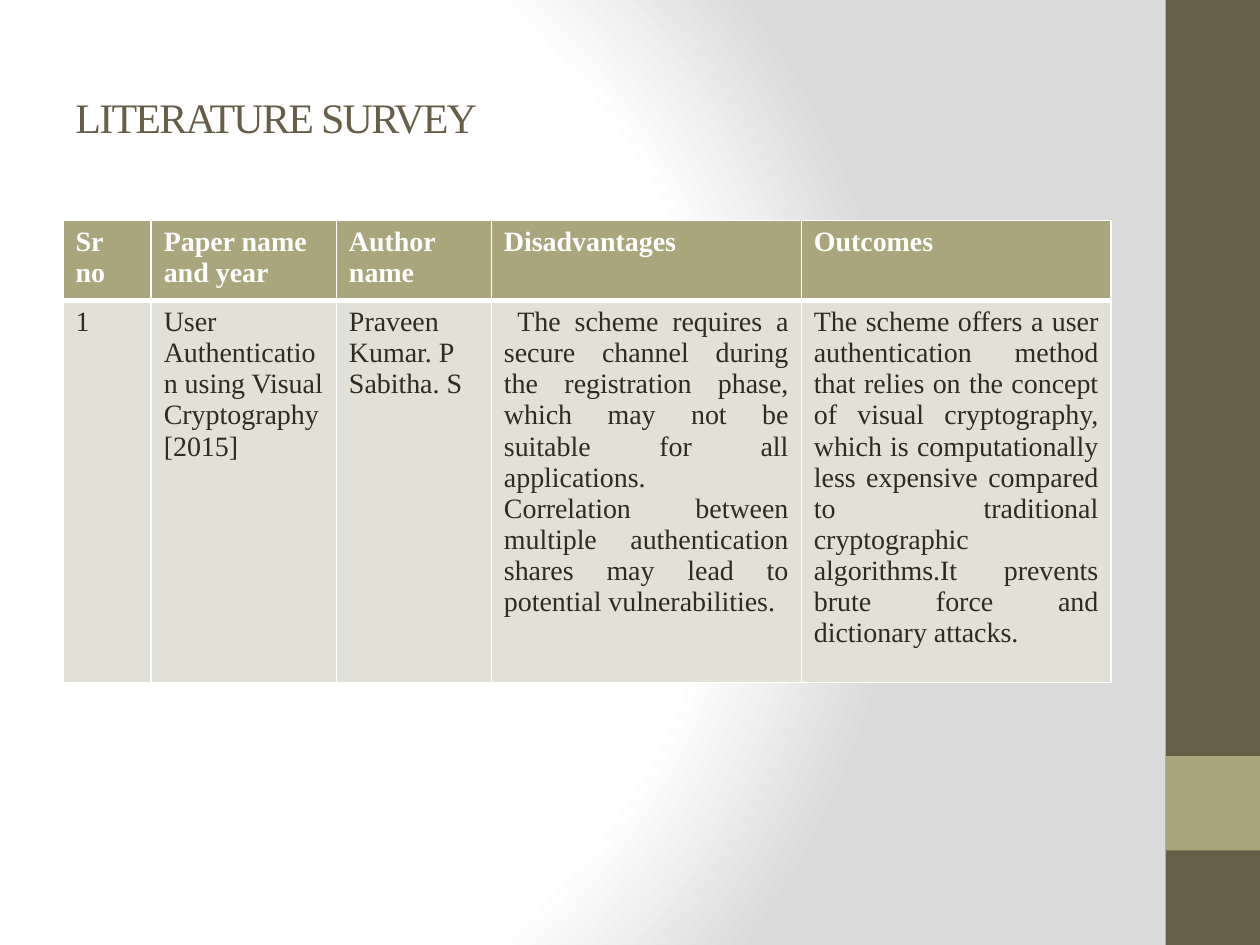
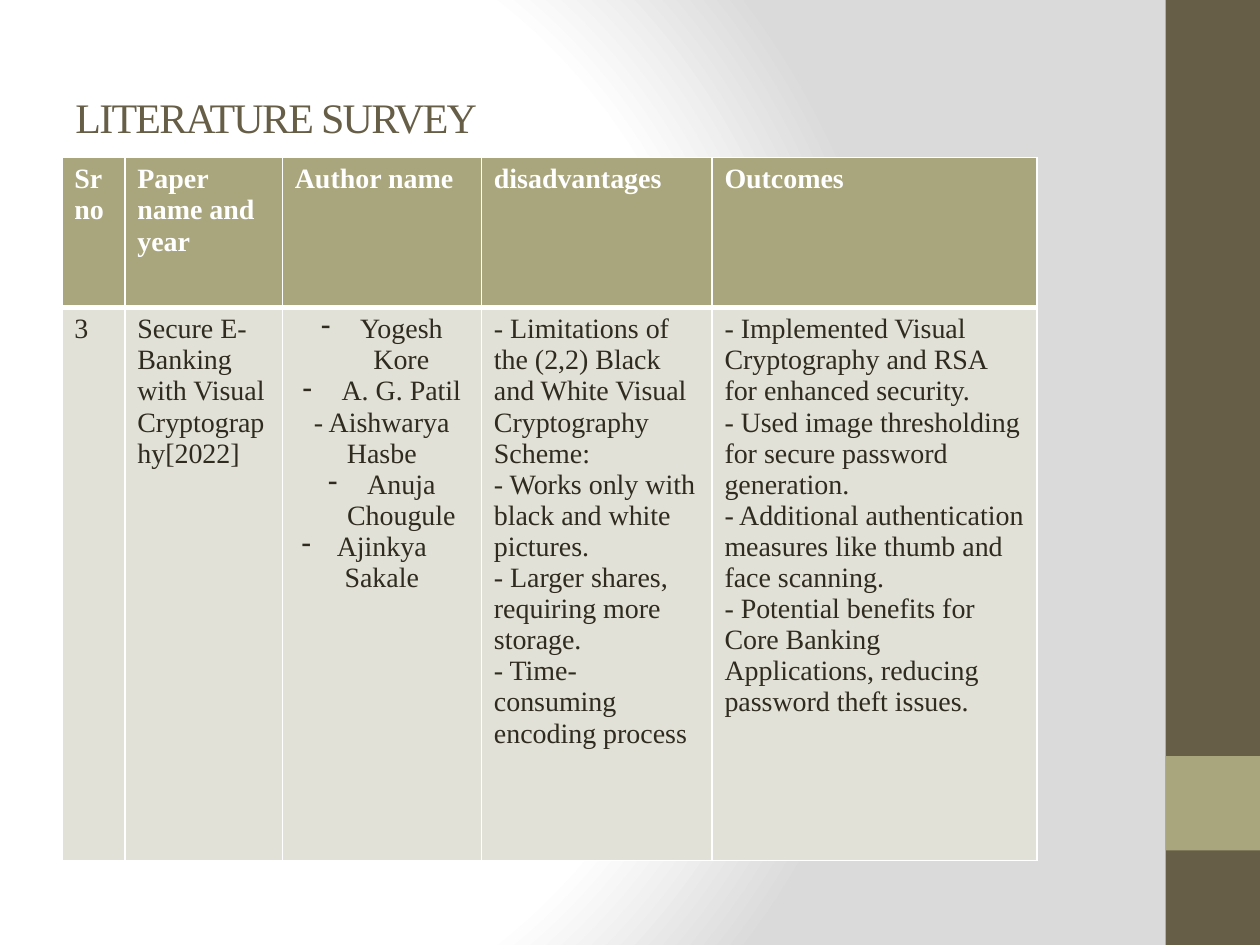
from dataclasses import dataclass

from lxml import etree
from pptx import Presentation
from pptx.dml.color import RGBColor
from pptx.enum.shapes import MSO_SHAPE
from pptx.enum.text import MSO_ANCHOR, PP_ALIGN
from pptx.oxml import parse_xml
from pptx.oxml.ns import nsdecls, qn
from pptx.util import Inches, Pt

RECTANGLE = MSO_SHAPE.RECTANGLE
MIDDLE = MSO_ANCHOR.MIDDLE
LEFT, CENTER, JUSTIFY = PP_ALIGN.LEFT, PP_ALIGN.CENTER, PP_ALIGN.JUSTIFY

FONT = "Times New Roman"
COLORS = {
    "brown": "675E47",
    "olive": "A9A57C",
    "stone": "E2E1D7",
    "ink": "2F2B20",
    "white": "FFFFFF",
    "grey": "DADADA",
}
BACKGROUND_STOPS = ((0, "white"), (75, "white"), (100, "grey"))
TITLE = "LITERATURE SURVEY"


@dataclass(frozen=True)
class Band:
    top: float
    height: float
    color: str


@dataclass(frozen=True)
class Line:
    text: str
    align: PP_ALIGN = LEFT
    bullet: str = ""
    indent: float = 0
    right: float = 0


@dataclass(frozen=True)
class Survey:
    left: float
    top: float
    columns: tuple[float, ...]
    rows: tuple[float, float]
    headings: tuple[str, ...]
    entry: tuple[tuple[Line, ...], ...]


BANDS = (Band(0, 7.5, "brown"), Band(6, 0.75, "olive"))


def author(name: str) -> Line:
    return Line(name, CENTER, bullet="-", indent=0.31)


SURVEYS = (
    Survey(
        left=0.5,
        top=1.75,
        columns=(0.7, 1.47, 1.23, 2.46, 2.46),
        rows=(0.58, 2.82),
        headings=("Sr no", "Paper name and year", "Author name", "Disadvantages", "Outcomes"),
        entry=(
            (Line("1"),),
            (Line("User Authentication using Visual Cryptography[2015]"),),
            (Line("Praveen Kumar. P Sabitha. S"),),
            (
                Line(" The scheme requires a secure channel during the registration phase, "
                     "which may not be suitable for all applications.", JUSTIFY),
                Line("Correlation between multiple authentication shares may lead to "
                     "potential vulnerabilities.", JUSTIFY),
            ),
            (
                Line("The scheme offers a user authentication method that relies on the "
                     "concept of visual cryptography, which is computationally less "
                     "expensive compared to traditional cryptographic algorithms.It "
                     "prevents brute force and dictionary attacks.", JUSTIFY),
            ),
        ),
    ),
    Survey(
        left=0.49,
        top=1.25,
        columns=(0.5, 1.25, 1.58, 1.83, 2.58),
        rows=(1.19, 4.39),
        headings=("Sr no", "Paper name and year", "Author name", "disadvantages", "Outcomes"),
        entry=(
            (Line("3"),),
            (Line("Secure E-Banking with Visual Cryptography[2022]"),),
            (
                author("Yogesh Kore"),
                author("A. G. Patil"),
                Line("- Aishwarya Hasbe", CENTER),
                author("Anuja Chougule"),
                Line("Ajinkya Sakale", CENTER, bullet="-", indent=0.28, right=0.28),
            ),
            (
                Line("- Limitations of the (2,2) Black and White Visual Cryptography Scheme:"),
                Line("- Works only with black and white pictures."),
                Line("- Larger shares, requiring more storage."),
                Line("- Time-consuming encoding process"),
            ),
            (
                Line("- Implemented Visual Cryptography and RSA for enhanced security."),
                Line("- Used image thresholding for secure password generation."),
                Line("- Additional authentication measures like thumb and face scanning."),
                Line("- Potential benefits for Core Banking Applications, reducing password "
                     "theft issues."),
            ),
        ),
    ),
)


def rgb(color: str) -> RGBColor:
    return RGBColor.from_string(COLORS[color])


def write(frame, lines: tuple[Line, ...], *, size: int, color: str,
          bold: bool = False, spacing: float = 0) -> None:
    for index, line in enumerate(lines):
        paragraph = frame.add_paragraph() if index else frame.paragraphs[0]
        paragraph.alignment = line.align
        run = paragraph.add_run()
        run.text = line.text
        run.font.name = FONT
        run.font.size = Pt(size)
        run.font.bold = bold
        run.font.color.rgb = rgb(color)
        if spacing:
            run.font._element.set("spc", str(round(spacing * 100)))
        if line.bullet:
            properties = paragraph._p.get_or_add_pPr()
            properties.set("marL", str(Inches(line.indent)))
            properties.set("marR", str(Inches(line.right)))
            properties.set("indent", str(Inches(-line.indent)))
            etree.SubElement(properties, qn("a:buChar"), char=line.bullet)


def set_background(master) -> None:
    master.background.fill.solid()
    properties = master.element.find(".//" + qn("p:bgPr"))
    stops = "".join(
        f'<a:gs pos="{position * 1000}"><a:srgbClr val="{COLORS[color]}"/></a:gs>'
        for position, color in BACKGROUND_STOPS
    )
    gradient = parse_xml(
        f'<a:gradFill {nsdecls("a")} rotWithShape="1"><a:gsLst>{stops}</a:gsLst>'
        '<a:path path="circle">'
        '<a:fillToRect l="20000" t="50000" r="100000" b="50000"/>'
        "</a:path></a:gradFill>"
    )
    properties.replace(properties.find(qn("a:solidFill")), gradient)


def draw_frame(slide) -> None:
    for band in BANDS:
        shape = slide.shapes.add_shape(
            RECTANGLE, Inches(9.25), Inches(band.top), Inches(0.75), Inches(band.height))
        shape.shadow.inherit = False
        shape.fill.solid()
        shape.fill.fore_color.rgb = rgb(band.color)
        shape.line.fill.background()
    title = slide.shapes.add_textbox(Inches(0.5), Inches(0.3), Inches(8.33), Inches(1.25))
    title.text_frame.word_wrap = True
    title.text_frame.vertical_anchor = MIDDLE
    write(title.text_frame, (Line(TITLE),), size=24, color="brown", spacing=-1)


def set_borders(cell, *, top: float, bottom: float) -> None:
    properties = cell._tc.get_or_add_tcPr()
    widths = {"lnL": 1, "lnR": 1, "lnT": top, "lnB": bottom}
    for index, (side, width) in enumerate(widths.items()):
        properties.insert(index, parse_xml(
            f'<a:{side} {nsdecls("a")} w="{Pt(width)}"><a:solidFill>'
            f'<a:srgbClr val="{COLORS["white"]}"/></a:solidFill></a:{side}>'))


def fill_cell(cell, lines: tuple[Line, ...], *, header: bool) -> None:
    cell.fill.solid()
    cell.fill.fore_color.rgb = rgb("olive" if header else "stone")
    set_borders(cell, top=1 if header else 3, bottom=3 if header else 1)
    write(cell.text_frame, lines, size=16, color="white" if header else "ink", bold=header)


def draw_survey(slide, survey: Survey) -> None:
    table = slide.shapes.add_table(
        len(survey.rows), len(survey.columns), Inches(survey.left), Inches(survey.top),
        Inches(sum(survey.columns)), Inches(sum(survey.rows))).table
    table.horz_banding = False
    for column, width in zip(table.columns, survey.columns):
        column.width = Inches(width)
    for row, height in zip(table.rows, survey.rows):
        row.height = Inches(height)
    for index, (heading, lines) in enumerate(zip(survey.headings, survey.entry)):
        fill_cell(table.cell(0, index), (Line(heading),), header=True)
        fill_cell(table.cell(1, index), lines, header=False)


def main() -> None:
    deck = Presentation()
    deck.slide_width, deck.slide_height = Inches(10), Inches(7.5)
    set_background(deck.slide_master)
    for survey in SURVEYS:
        slide = deck.slides.add_slide(deck.slide_layouts[6])
        draw_frame(slide)
        draw_survey(slide, survey)
    deck.save("out.pptx")


if __name__ == "__main__":
    main()
